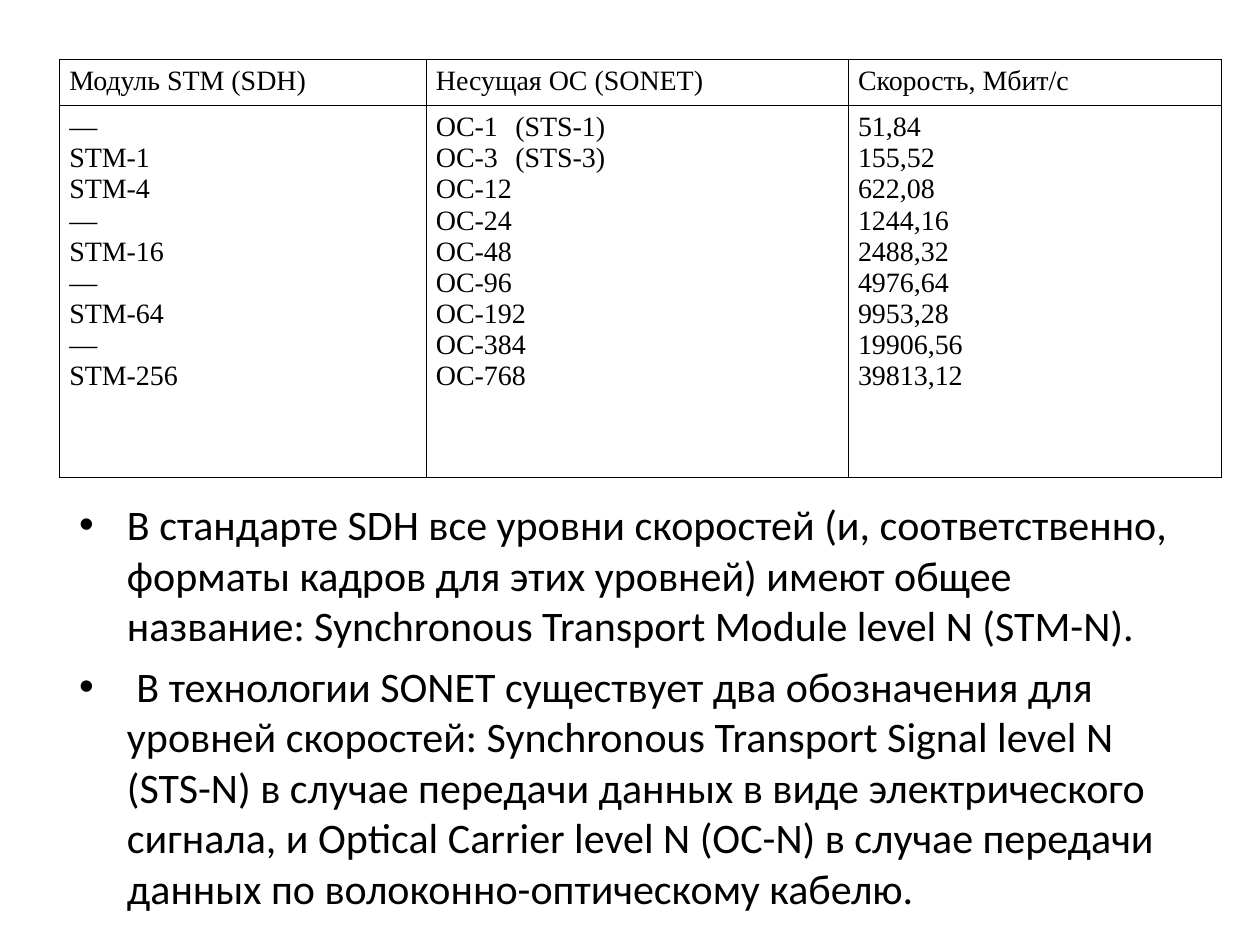
from lxml.etree import SubElement
from pptx import Presentation
from pptx.dml.color import RGBColor
from pptx.oxml.ns import qn
from pptx.util import Inches, Pt

BLACK = RGBColor(0x00, 0x00, 0x00)

COLUMNS = [
    ("Модуль STM (SDH)", 2.91,
     ["—", "STM-1", "STM-4", "—", "STM-16", "—", "STM-64", "—", "STM-256"]),
    ("Несущая OC (SONET)", 3.35,
     ["OC-1\t(STS-1)", "OC-3\t(STS-3)", "OC-12", "OC-24", "OC-48",
      "OC-96", "OC-192", "OC-384", "OC-768"]),
    ("Скорость, Мбит/с", 2.96,
     ["51,84", "155,52", "622,08", "1244,16", "2488,32",
      "4976,64", "9953,28", "19906,56", "39813,12"]),
]
ROW_HEIGHTS = [0.33, 2.95]
SIGNAL_TAB = 0.63
BULLETS = [
    "В стандарте SDH все уровни скоростей (и, соответственно, форматы кадров "
    "для этих уровней) имеют общее название: Synchronous Transport Module "
    "level N (STM-N).",
    " В технологии SONET существует два обозначения для уровней скоростей: "
    "Synchronous Transport Signal level N (STS-N) в случае передачи данных в "
    "виде электрического сигнала, и Optical Carrier level N (OC-N) в случае "
    "передачи данных по волоконно-оптическому кабелю.",
]


def add_run(paragraph, text, font_name, size):
    run = paragraph.add_run()
    run.text = text
    run.font.name = font_name
    run.font.size = Pt(size)
    run.font.color.rgb = BLACK


def paragraphs_for(frame, lines):
    for index, line in enumerate(lines):
        yield (frame.add_paragraph() if index else frame.paragraphs[0]), line


def set_borders(cell):
    properties = cell._tc.get_or_add_tcPr()
    for side in ("lnL", "lnR", "lnT", "lnB"):
        border = SubElement(properties, qn(f"a:{side}"), w=str(Pt(0.45)))
        fill = SubElement(border, qn("a:solidFill"))
        SubElement(fill, qn("a:srgbClr"), val=str(BLACK))


def fill_cell(cell, lines):
    set_borders(cell)
    cell.fill.background()
    cell.margin_left = cell.margin_right = Inches(0.08)
    cell.margin_top = cell.margin_bottom = Inches(0.05)
    for paragraph, line in paragraphs_for(cell.text_frame, lines):
        if "\t" in line:
            tabs = SubElement(paragraph._p.get_or_add_pPr(), qn("a:tabLst"))
            SubElement(tabs, qn("a:tab"), pos=str(Inches(SIGNAL_TAB)), algn="l")
        add_run(paragraph, line, "Times New Roman", 16)


def add_rates_table(slide):
    width = sum(column[1] for column in COLUMNS)
    table = slide.shapes.add_table(
        len(ROW_HEIGHTS), len(COLUMNS), Inches(0.47), Inches(0.47),
        Inches(width), Inches(sum(ROW_HEIGHTS))).table
    table.first_row = table.horz_banding = False
    for row, height in zip(table.rows, ROW_HEIGHTS):
        row.height = Inches(height)
    for index, (heading, column_width, values) in enumerate(COLUMNS):
        table.columns[index].width = Inches(column_width)
        fill_cell(table.cell(0, index), [heading])
        fill_cell(table.cell(1, index), values)


def add_bullets(slide):
    frame = slide.shapes.add_textbox(
        Inches(0.53), Inches(3.91), Inches(9), Inches(3.44)).text_frame
    frame.word_wrap = True
    for paragraph, line in paragraphs_for(frame, BULLETS):
        if line != BULLETS[0]:
            paragraph.space_before = Pt(6)
        properties = paragraph._p.get_or_add_pPr()
        properties.set("marL", str(Inches(0.38)))
        properties.set("indent", str(-Inches(0.38)))
        bullet_color = SubElement(properties, qn("a:buClr"))
        SubElement(bullet_color, qn("a:srgbClr"), val=str(BLACK))
        SubElement(properties, qn("a:buFont"), typeface="Arial")
        SubElement(properties, qn("a:buChar"), char="•")
        add_run(paragraph, line, "Calibri", 24)


def main():
    presentation = Presentation()
    presentation.slide_width = Inches(10)
    presentation.slide_height = Inches(7.5)
    slide = presentation.slides.add_slide(presentation.slide_layouts[6])
    add_bullets(slide)
    add_rates_table(slide)
    presentation.save("out.pptx")


if __name__ == "__main__":
    main()
